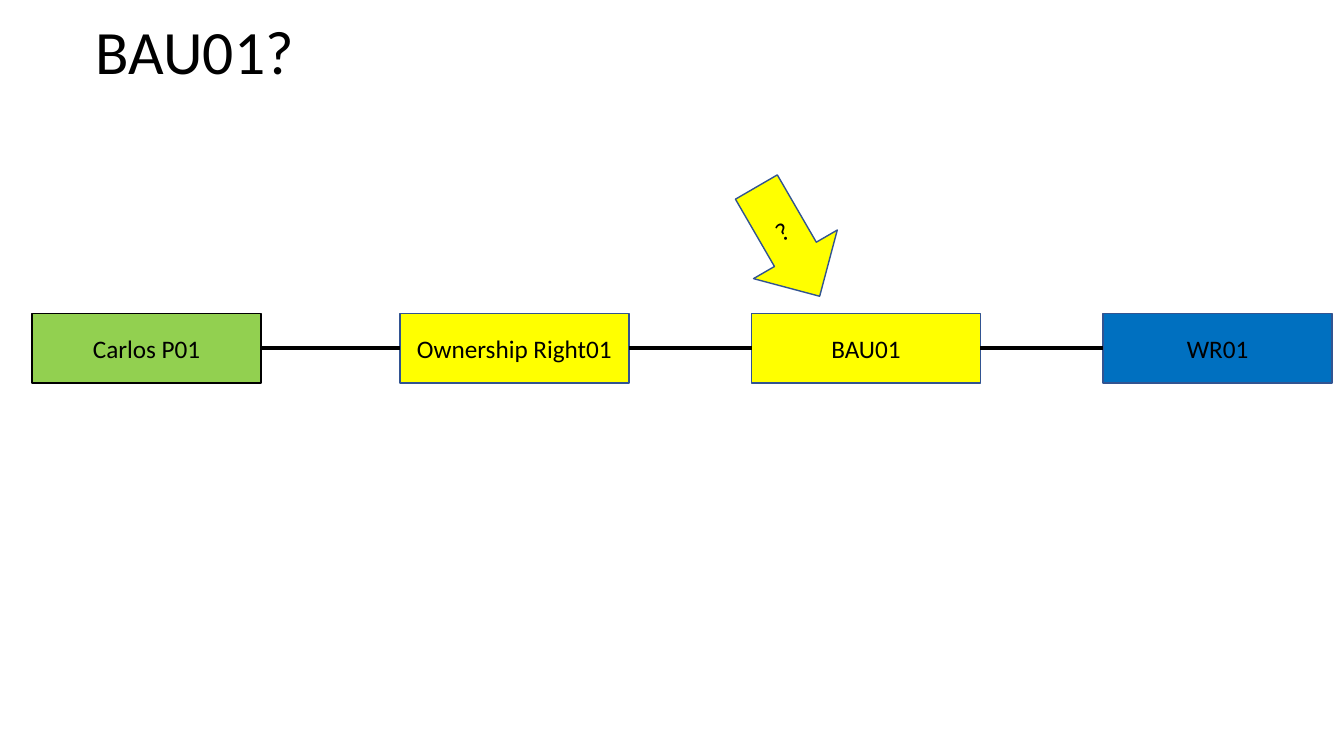
from dataclasses import dataclass
from itertools import pairwise

from pptx import Presentation
from pptx.dml.color import RGBColor
from pptx.enum.shapes import MSO_CONNECTOR as Connector
from pptx.enum.shapes import MSO_SHAPE as Preset
from pptx.enum.text import MSO_ANCHOR as Anchor
from pptx.enum.text import PP_ALIGN as Align
from pptx.oxml.ns import qn
from pptx.shapes.autoshape import Shape
from pptx.slide import Slide
from pptx.text.text import TextFrame
from pptx.util import Cm, Pt
from lxml.etree import SubElement

COLORS = {
    "black": "000000",
    "outline": "325491",
    "green": "92D050",
    "yellow": "FFFF00",
    "blue": "0070C0",
}
FONT = "Calibri"

# Box row, in centimetres
BOX_TOP, BOX_WIDTH, BOX_HEIGHT = 7.9, 5.77, 1.75
RIGHT_LEFT, BOX_PITCH = 10.08, 8.86
LEFT_SITE, RIGHT_SITE = 1, 3


@dataclass(frozen=True)
class Block:
    label: str
    left: float
    fill: str
    top: float = BOX_TOP
    width: float = BOX_WIDTH
    height: float = BOX_HEIGHT
    outline: str = "outline"
    preset: Preset = Preset.RECTANGLE
    rotation: float = 0


CHAIN = [
    Block("Carlos P01", 0.81, "green", outline="black"),
    Block("Ownership Right01", RIGHT_LEFT, "yellow"),
    Block("BAU01", RIGHT_LEFT + BOX_PITCH, "yellow"),
    Block("WR01", RIGHT_LEFT + 2 * BOX_PITCH, "blue"),
]
QUESTION = Block("?", 18.64, "yellow", top=4.5, width=2.44, height=3.18,
                 preset=Preset.DOWN_ARROW, rotation=329.9)


def color(name: str) -> RGBColor:
    return RGBColor.from_string(COLORS[name])


def set_text(frame: TextFrame, text: str, size: float, align: Align, anchor: Anchor) -> None:
    frame.text = text
    frame.word_wrap = True
    frame.vertical_anchor = anchor
    paragraph = frame.paragraphs[0]
    paragraph.alignment = align
    font = paragraph.runs[0].font
    font.name, font.size = FONT, Pt(size)
    font.color.rgb = color("black")


def draw_block(slide: Slide, block: Block) -> Shape:
    shape = slide.shapes.add_shape(block.preset, Cm(block.left), Cm(block.top),
                                   Cm(block.width), Cm(block.height))
    shape.rotation = block.rotation
    shape.shadow.inherit = False
    shape.fill.solid()
    shape.fill.fore_color.rgb = color(block.fill)
    shape.line.color.rgb = color(block.outline)
    shape.line.width = Pt(1)
    set_text(shape.text_frame, block.label, 18, Align.CENTER, Anchor.MIDDLE)
    return shape


def draw_link(slide: Slide, start: Shape, end: Shape) -> None:
    link = slide.shapes.add_connector(Connector.STRAIGHT, 0, 0, 0, 0)
    link.begin_connect(start, RIGHT_SITE)
    link.end_connect(end, LEFT_SITE)
    link.line.color.rgb = color("black")
    link.line.width = Pt(3)
    SubElement(link.element.spPr, qn("a:effectLst"))


def main() -> None:
    deck = Presentation()
    deck.slide_width, deck.slide_height = Cm(33.87), Cm(19.05)
    slide = deck.slides.add_slide(deck.slide_layouts.get_by_name("Title Only"))

    # Title
    title = slide.shapes.title
    title.left, title.top = Cm(2.16), Cm(0.41)
    title.width, title.height = Cm(29.21), Cm(3.68)
    set_text(title.text_frame, "BAU01?", 44, Align.LEFT, Anchor.TOP)
    title.text_frame.paragraphs[0].line_spacing = 0.9

    # Chain of boxes and the links between neighbours
    boxes = [draw_block(slide, block) for block in CHAIN]
    for start, end in pairwise(boxes):
        draw_link(slide, start, end)

    # Arrow pointing at the box in question
    draw_block(slide, QUESTION)

    deck.save("out.pptx")


if __name__ == "__main__":
    main()
